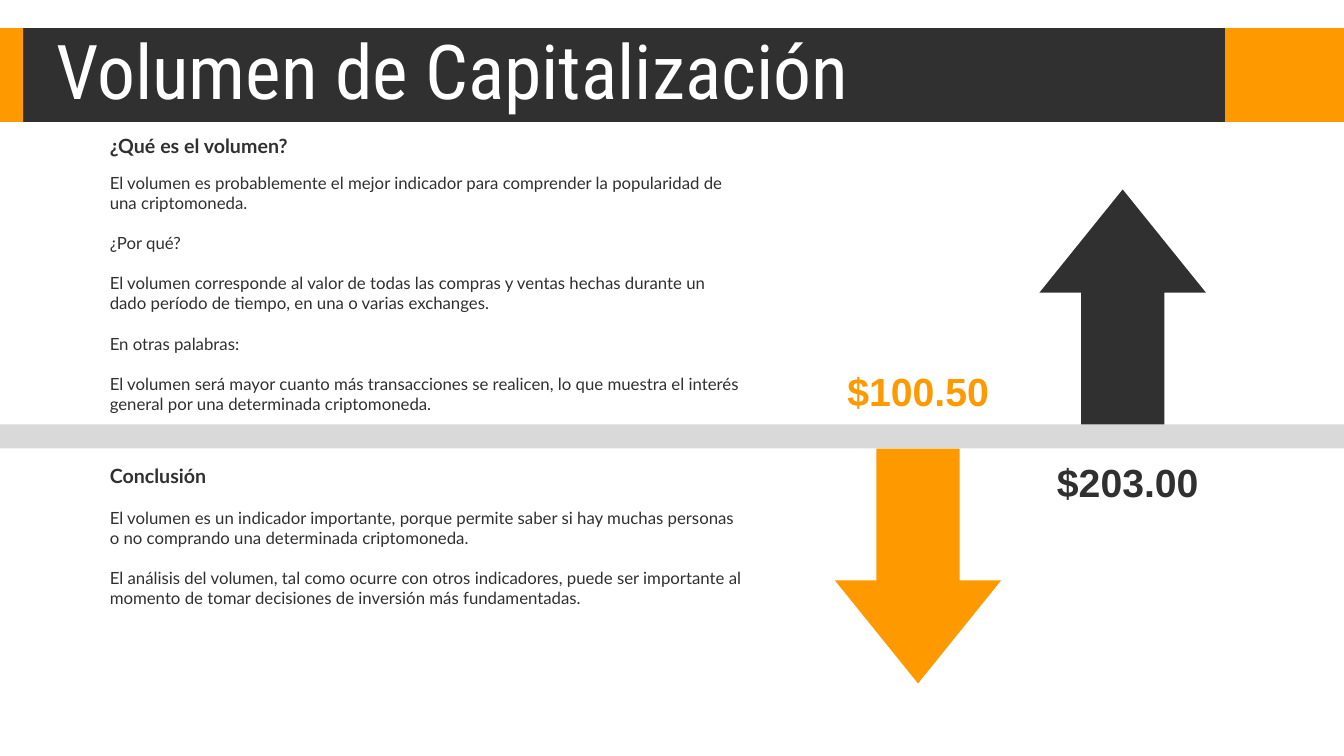
from pptx import Presentation
from pptx.dml.color import RGBColor
from pptx.enum.shapes import MSO_SHAPE as Shape
from pptx.enum.text import MSO_ANCHOR as Anchor, MSO_AUTO_SIZE as Fit, PP_ALIGN as Align
from pptx.util import Inches, Pt

DARK = RGBColor(0x30, 0x30, 0x30)
ORANGE = RGBColor(0xFE, 0x99, 0x00)
GREY = RGBColor(0xD9, 0xD9, 0xD9)
WHITE = RGBColor(0xFF, 0xFF, 0xFF)

WIDE = 13.33
HEAD_TOP, HEAD_TALL = 0.28, 0.93
LINE_TOP, LINE_TALL = 4.21, 0.24
ARROW_WIDE, ARROW_TALL = 1.65, 2.33
TEXT_LEFT, TEXT_WIDE = 0.99, 6.49
GAP = Pt(14.4)

VOLUME = [
    "El volumen es probablemente el mejor indicador para comprender la popularidad de una criptomoneda.",
    "¿Por qué?",
    "El volumen corresponde al valor de todas las compras y ventas hechas durante un dado período de tiempo, en una o varias exchanges.",
    "En otras palabras:",
    "El volumen será mayor cuanto más transacciones se realicen, lo que muestra el interés general por una determinada criptomoneda.",
]
CLOSING = [
    "El volumen es un indicador importante, porque permite saber si hay muchas personas o no comprando una determinada criptomoneda.",
    "El análisis del volumen, tal como ocurre con otros indicadores, puede ser importante al momento de tomar decisiones de inversión más fundamentadas.",
]


def add_block(slide, kind, left, top, width, height, color):
    block = slide.shapes.add_shape(
        kind, Inches(left), Inches(top), Inches(width), Inches(height))
    block.shadow.inherit = False
    block.fill.solid()
    block.fill.fore_color.rgb = color
    block.line.fill.background()
    return block


def add_arrow(slide, left, top, color, turn=0):
    arrow = add_block(slide, Shape.UP_ARROW, left, top, ARROW_WIDE, ARROW_TALL, color)
    arrow.adjustments[0] = 0.5
    arrow.adjustments[1] = 0.62
    arrow.rotation = turn


def set_font(para, name, size, color, bold=False):
    for run in para.runs:
        font = run.font
        font.name, font.size, font.bold = name, Pt(size), bold
        font.color.rgb = color


def add_frame(slide, left, top, width, height):
    box = slide.shapes.add_textbox(
        Inches(left), Inches(top), Inches(width), Inches(height))
    frame = box.text_frame
    frame.word_wrap = True
    frame.auto_size = Fit.SHAPE_TO_FIT_TEXT
    return frame


def add_text(slide, top, height, head="", body=()):
    """Add a text column: an optional bold heading, then spaced paragraphs."""
    frame = add_frame(slide, TEXT_LEFT, top, TEXT_WIDE, height)
    lines = ([head] if head else []) + list(body)
    frame.text = "\n".join(lines)
    for i, para in enumerate(frame.paragraphs):
        bold = bool(head) and i == 0
        set_font(para, "Lato", 14 if bold else 12, DARK, bold)
        if i:
            para.space_before = GAP


def add_price(slide, left, top, price, color):
    frame = add_frame(slide, left, top, 1.91, 0.57)
    frame.vertical_anchor = Anchor.MIDDLE
    frame.text = price
    para = frame.paragraphs[0]
    para.alignment = Align.CENTER
    set_font(para, "Arial", 28, color, True)


def add_header(slide, text):
    for left, width, color in ((12.15, 1.18, ORANGE), (0, 12.15, DARK), (0, 0.23, ORANGE)):
        add_block(slide, Shape.RECTANGLE, left, HEAD_TOP, width, HEAD_TALL, color)
    title = slide.shapes.title
    title.left, title.top = Inches(0.46), Inches(0.35)
    title.width, title.height = Inches(9.7), Inches(0.79)
    frame = title.text_frame
    frame.text = text
    frame.word_wrap = True
    frame.auto_size = Fit.NONE
    frame.vertical_anchor = Anchor.MIDDLE
    para = frame.paragraphs[0]
    para.alignment = Align.LEFT
    para.line_spacing = 0.9
    set_font(para, "Roboto Condensed", 54, WHITE)
    # Bring the title in front of the header bars
    tree = title.element.getparent()
    tree.append(title.element)


def main():
    deck = Presentation()
    deck.slide_width, deck.slide_height = Inches(WIDE), Inches(7.5)
    slide = deck.slides.add_slide(deck.slide_layouts[5])

    add_header(slide, "Volumen de Capitalización")
    add_block(slide, Shape.RECTANGLE, 0, LINE_TOP, WIDE, LINE_TALL, GREY)
    add_arrow(slide, 10.31, LINE_TOP - ARROW_TALL, DARK)
    add_arrow(slide, 8.28, LINE_TOP + LINE_TALL, ORANGE, 180)
    add_price(slide, 8.15, 3.59, "$100.50", ORANGE)
    add_price(slide, 10.23, 4.5, "$203.00", DARK)
    add_text(slide, 1.66, 2.73, body=VOLUME)
    add_text(slide, 1.28, 0.34, head="¿Qué es el volumen?")
    add_text(slide, 4.55, 1.75, head="Conclusión", body=CLOSING)

    deck.save("out.pptx")


if __name__ == "__main__":
    main()
